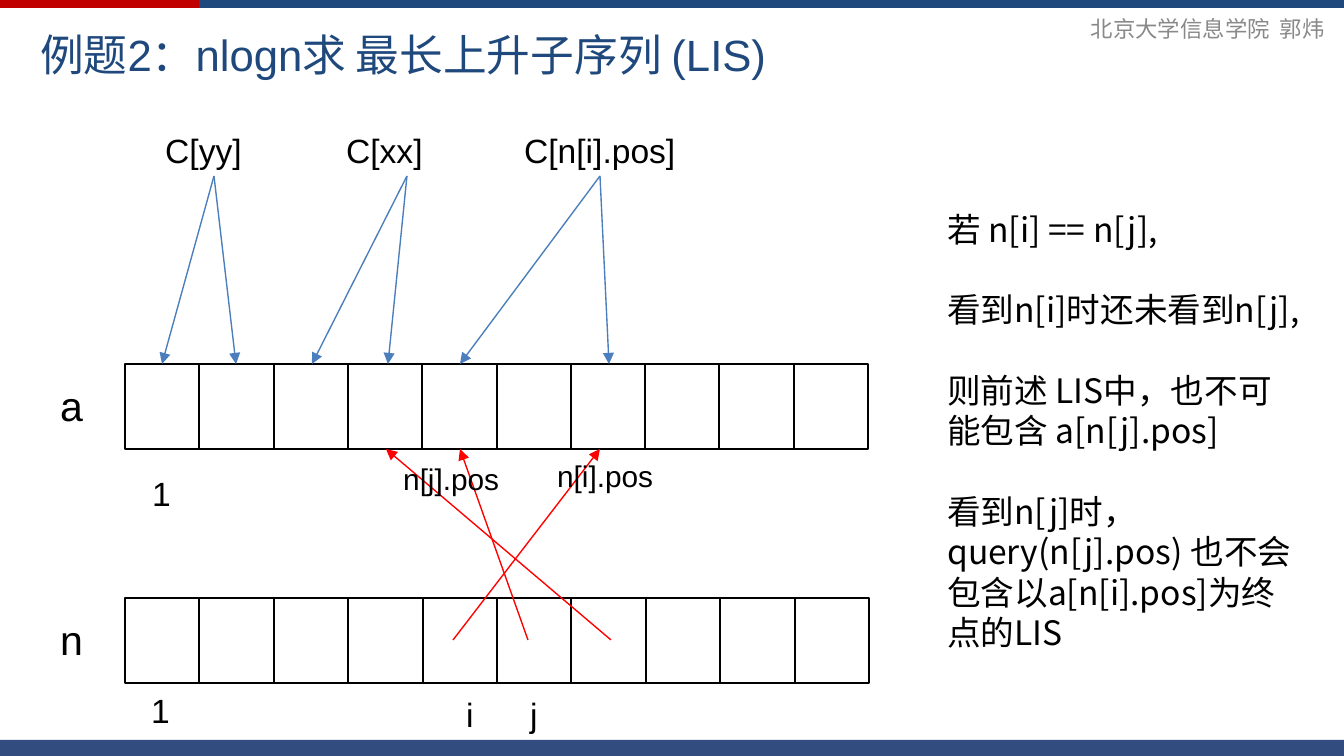
from lxml import etree
from pptx import Presentation, util as u
from pptx.dml.color import RGBColor
from pptx.enum import shapes as sh, text as tx
from pptx.oxml.ns import qn

SCALE = 914400 / 134.4
NAVY, BLUE, RED, BLACK = "1F497D", "4B7EBC", "FF0000", "000000"
CJK = "Noto Sans CJK SC"


def px(n):
    return u.Emu(round(n * SCALE))


def color(hexa):
    return RGBColor.from_string(hexa)


def rect(slide, box, fill=None, line=None, alpha=None):
    part = slide.shapes.add_shape(sh.MSO_SHAPE.RECTANGLE, *map(px, box))
    part.shadow.inherit = False
    if fill:
        part.fill.solid()
        part.fill.fore_color.rgb = color(fill)
    else:
        part.fill.background()
    if alpha:
        tone = part.fill._xPr.find(qn("a:solidFill"))[0]
        etree.SubElement(tone, qn("a:alpha")).set("val", str(alpha * 1000))
    if line:
        part.line.color.rgb = color(line)
        part.line.width = u.Pt(0.75)
    else:
        part.line.fill.background()


def label(slide, box, lines, size, font="Arial", hue=BLACK, wrap=False,
          align=tx.PP_ALIGN.LEFT, anchor=tx.MSO_ANCHOR.TOP, pitch=None):
    """Lines are (words, space before in points)."""
    frame = slide.shapes.add_textbox(*map(px, box)).text_frame
    frame.word_wrap = wrap
    frame.vertical_anchor = anchor
    for i, (words, gap) in enumerate(lines):
        para = frame.add_paragraph() if i else frame.paragraphs[0]
        para.alignment = align
        para.space_before = u.Pt(gap)
        if pitch:
            para.line_spacing = u.Pt(pitch)
        run = para.add_run()
        run.text = words
        run.font.size = u.Pt(size)
        run.font.name = font
        run.font.color.rgb = color(hue)
        east = etree.SubElement(run._r.get_or_add_rPr(), qn("a:ea"))
        east.set("typeface", CJK)


def arrow(slide, start, end, hue):
    line = slide.shapes.add_connector(
        sh.MSO_CONNECTOR.STRAIGHT, *map(px, start + end))
    line.line.color.rgb = color(hue)
    line.line.width = u.Pt(0.75)
    tip = etree.SubElement(line.line._get_or_add_ln(), qn("a:tailEnd"))
    tip.set("type", "triangle")
    etree.SubElement(line._element.spPr, qn("a:effectLst"))


def frame(slide, box):
    """Top and bottom bands, credit and title."""
    x, y, w, h = box
    rect(slide, (x, y, 199, 8), "C00000")
    rect(slide, (x + 199, y, w - 199, 8), NAVY)
    rect(slide, (x, y + h - 16, w, 16), "002060", alpha=80)
    mid = tx.MSO_ANCHOR.MIDDLE
    label(slide, (x + 1025, y + 9, 313, 40), [("北京大学信息学院  郭炜", 0)], 12,
          "Times New Roman", "898989", True, tx.PP_ALIGN.RIGHT, mid)
    label(slide, (x + 27, y + 28, 907, 52),
          [("例题2：nlogn求 最长上升子序列 (LIS)", 0)], 23.4,
          hue=NAVY, wrap=True, anchor=mid)


def cells(slide, box, name, count=10):
    """A row of equal cells with its name on the left and first index below."""
    x, y, w, h = box
    edges = [x + round(w * i / count) for i in range(count + 1)]
    for left, right in zip(edges, edges[1:]):
        rect(slide, (left, y, right - left, h), line=BLACK)
    label(slide, (x - 78, y + 10, 50, 63), [(name, 0)], 22)


def tree(slide, box):
    """Sums C[...] above, each pointing at both ends of its range in a."""
    x, y, w, h = box
    sums = [("C[yy]", 27, 105, 89, 37, 111), ("C[xx]", 208, 105, 282, 187, 263),
            ("C[n[i].pos]", 386, 180, 475, 335, 484)]
    for name, left, wide, peak, *feet in sums:
        label(slide, (x + left, y, wide, 54), [(name, 0)], 18)
        for foot in feet:
            arrow(slide, (x + peak, y + 53), (x + foot, y + h), BLUE)


def links(slide, box):
    """Red arrows from row n up to row a, with position labels."""
    x, y, w, h = box
    for low, high in ((328, 475), (403, 335), (486, 261)):
        arrow(slide, (x + low, y + h), (x + high, y), RED)
    for name, left, top in (("n[i].pos", 419, 2), ("n[j].pos", 265, 5)):
        label(slide, (x + left, y + top, 171, 50), [(name, 0)], 16, wrap=True)


def index(slide, box):
    """Index marks, placed from the row's left edge."""
    x, y, w, h = box
    marks = [("1", 14, 17, 46), ("1", 13, 234, 46),
             ("i", 328, 238, 35), ("j", 392, 238, 35)]
    for name, left, top, wide in marks:
        label(slide, (x + left, y + top, wide, 54), [(name, 0)], 18)


def notes(slide, box):
    """Argument on the right, one blank line's height between steps."""
    pitch = 21.6
    lines = [("若 n[i] == n[j],", 0), ("看到n[i]时还未看到n[j],", pitch),
             ("则前述 LIS中，也不可能包含 a[n[j].pos]", pitch),
             ("看到n[j]时，", pitch),
             ("query(n[j].pos) 也不会包含以a[n[i].pos]为终点的LIS", 0)]
    label(slide, box, lines, 18, CJK, wrap=True, pitch=pitch)


def main():
    deck = Presentation()
    deck.slide_width, deck.slide_height = px(1344), px(756)
    slide = deck.slides.add_slide(deck.slide_layouts[6])
    frame(slide, (0, 0, 1344, 756))
    cells(slide, (125, 364, 743, 85), "a")
    cells(slide, (125, 598, 744, 85), "n")
    tree(slide, (125, 123, 743, 241))
    links(slide, (125, 449, 743, 191))
    index(slide, (125, 449, 743, 300))
    notes(slide, (934, 202, 384, 543))
    deck.save("out.pptx")


if __name__ == "__main__":
    main()
